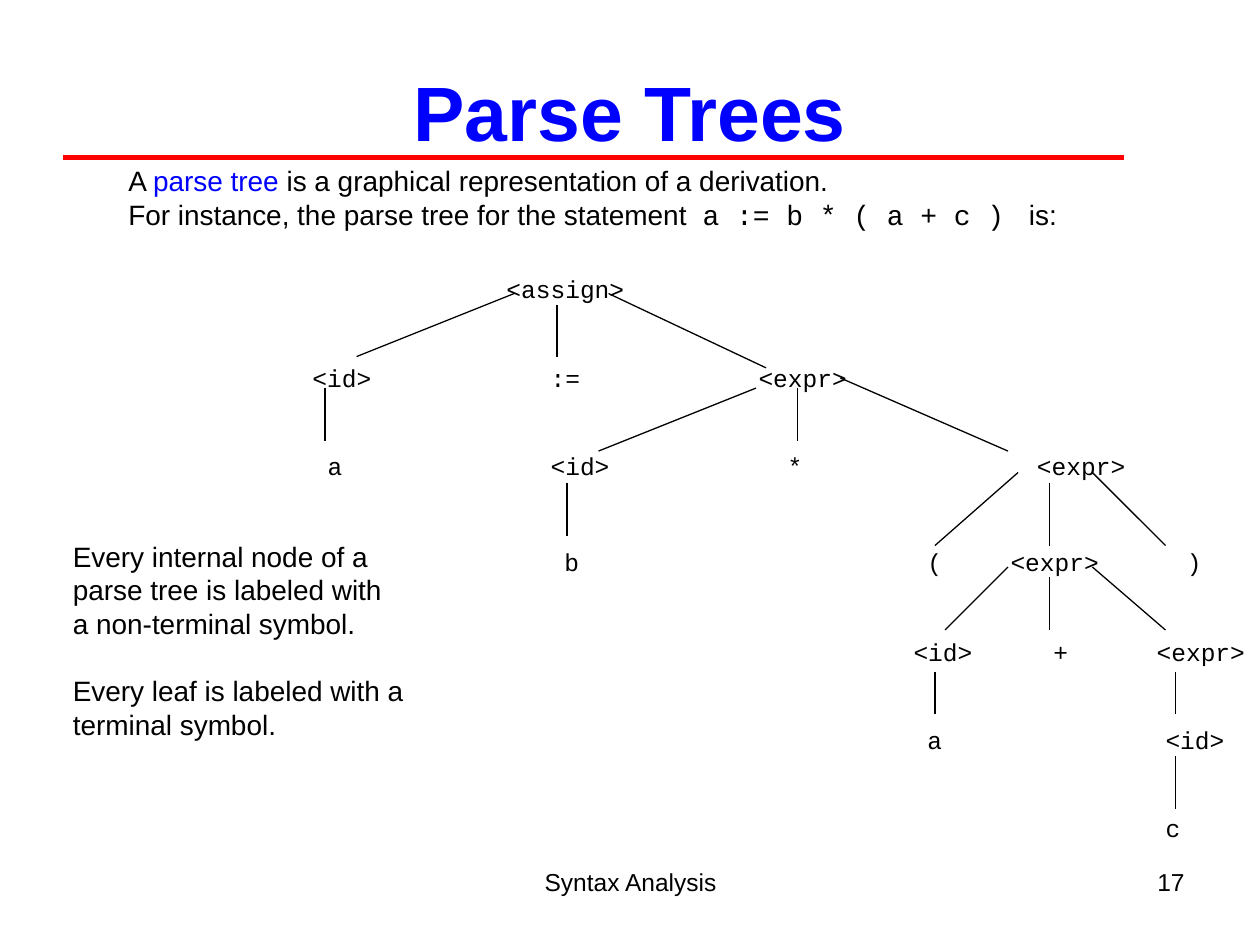
import pptx
import pptx.util
import pptx.dml.color
import pptx.enum.text
import pptx.enum.shapes
import pptx.oxml

Inches, Pt = pptx.util.Inches, pptx.util.Pt
RGB = pptx.dml.color.RGBColor
ALIGN = pptx.enum.text.PP_ALIGN
ANCHOR = pptx.enum.text.MSO_ANCHOR

BLACK = RGB(0, 0, 0)
BLUE = RGB(0, 0, 255)
RED = RGB(255, 0, 0)
SANS, MONO = "Arial", "Courier New"
LEAD = 19.2  # line height of the body text in points

# Rows of the tree: centre height, then (left, label) of each node
ROWS = [
    (1.09, [(2.54, "<assign>")]),
    (1.80, [(1.00, "<id>"), (2.89, ":="), (4.54, "<expr>")]),
    (2.50, [(1.12, "a"), (2.89, "<id>"), (4.77, "*"), (6.75, "<expr>")]),
    (3.26, [(3.00, "b"), (5.88, "("), (6.54, "<expr>"), (7.94, ")")]),
    (3.97, [(5.77, "<id>"), (6.88, "+"), (7.70, "<expr>")]),
    (4.67, [(5.88, "a"), (7.77, "<id>")]),
    (5.37, [(7.77, "c")]),
]

# Branches of the tree: start x, y, end x, y
EDGES = [
    (2.60, 1.13, 1.35, 1.63), (2.94, 1.22, 2.94, 1.63), (3.35, 1.13, 4.60, 1.72),
    (1.10, 1.88, 1.10, 2.30), (4.52, 1.88, 3.27, 2.38), (4.85, 1.88, 4.85, 2.30),
    (5.19, 1.80, 6.52, 2.38), (3.02, 2.63, 3.02, 3.05), (6.60, 2.55, 5.94, 3.13),
    (6.85, 2.63, 6.85, 3.13), (7.19, 2.55, 7.77, 3.13), (6.52, 3.30, 6.02, 3.80),
    (6.85, 3.38, 6.85, 3.80), (7.19, 3.30, 7.77, 3.80), (5.94, 4.13, 5.94, 4.47),
    (7.85, 4.13, 7.85, 4.47), (7.85, 4.80, 7.85, 5.22),
]


def add_run(para, text, size, font=SANS, color=BLACK, bold=False):
    run = para.add_run()
    run.text = text
    run.font.size, run.font.name, run.font.bold = Pt(size), font, bold
    run.font.color.rgb = color


def add_box(slide, left, top, width, height, wrap=True):
    box = slide.shapes.add_textbox(Inches(left), Inches(top), Inches(width), Inches(height))
    box.text_frame.word_wrap = wrap
    return box.text_frame


def add_line(slide, x1, y1, x2, y2, color=BLACK, weight=0.75):
    line = slide.shapes.add_connector(
        pptx.enum.shapes.MSO_CONNECTOR.STRAIGHT,
        Inches(x1), Inches(y1), Inches(x2), Inches(y2))
    line.line.color.rgb = color
    line.line.width = Pt(weight)
    props = line._element.spPr
    props.append(props.makeelement(pptx.oxml.ns.qn("a:effectLst"), {}))


def add_title(slide, left, top, width, height):
    title = slide.shapes.title
    title.left, title.top = Inches(left), Inches(top)
    title.width, title.height = Inches(width), Inches(height)
    title.text_frame.vertical_anchor = ANCHOR.MIDDLE
    para = title.text_frame.paragraphs[0]
    para.alignment = ALIGN.CENTER
    add_run(para, "Parse Trees", 44, color=BLUE, bold=True)
    add_line(slide, left, top + 1, left + 8.42, top + 1, RED, 3)


def add_body(slide, left, top, width, height, lines, gap=None):
    """Each line is a list of (text, style); gap is the line that follows a break."""
    frame = add_box(slide, left, top, width, height, False)
    for i, line in enumerate(lines):
        para = frame.add_paragraph() if i else frame.paragraphs[0]
        para.line_spacing = Pt(LEAD)
        if i == gap:
            para.space_before = Pt(LEAD)
        for text, style in line:
            add_run(para, text, 16, **style)


def add_tree(slide, left, top):
    for mid, nodes in ROWS:
        for x, label in nodes:
            frame = add_box(slide, left + x, top + mid - 0.15,
                            0.12 * len(label), 0.3, False)
            frame.margin_left = frame.margin_right = 0
            frame.margin_top = frame.margin_bottom = 0
            frame.vertical_anchor = ANCHOR.MIDDLE
            add_run(frame.paragraphs[0], label, 14, MONO)
    for x1, y1, x2, y2 in EDGES:
        add_line(slide, left + x1, top + y1, left + x2, top + y2)


def add_foot(slide, top):
    parts = [(3.42, 3.17, "Syntax Analysis", ALIGN.CENTER), (7.17, 2.33, "17", ALIGN.RIGHT)]
    for left, width, text, align in parts:
        para = add_box(slide, left, top, width, 0.52).paragraphs[0]
        para.alignment = align
        add_run(para, text, 14)


deck = pptx.Presentation()
deck.slide_width, deck.slide_height = Inches(10), Inches(7.5)
page = deck.slides.add_slide(deck.slide_layouts[5])

# Title and rule
add_title(page, 0.5, 0.25, 9, 1.25)

# Introduction
add_body(page, 0.92, 1.25, 8, 0.65, [
    [("A ", {}), ("parse tree ", {"color": BLUE}),
     ("is a graphical representation of a derivation.", {})],
    [("For instance, the parse tree for the statement  ", {}),
     ("a := b * ( a + c ) ", {"font": MONO}), (" is:", {})],
])

# Parse tree
add_tree(page, 1.48, 1.2)

# Remarks on the nodes
notes = ["Every internal node of a", "parse tree is labeled with",
         "a non-terminal symbol.", "Every leaf is labeled with a", "terminal symbol."]
add_body(page, 0.48, 4.23, 2.92, 1.72, [[(text, {})] for text in notes], gap=3)

# Footer
add_foot(page, 6.83)

deck.save("out.pptx")
